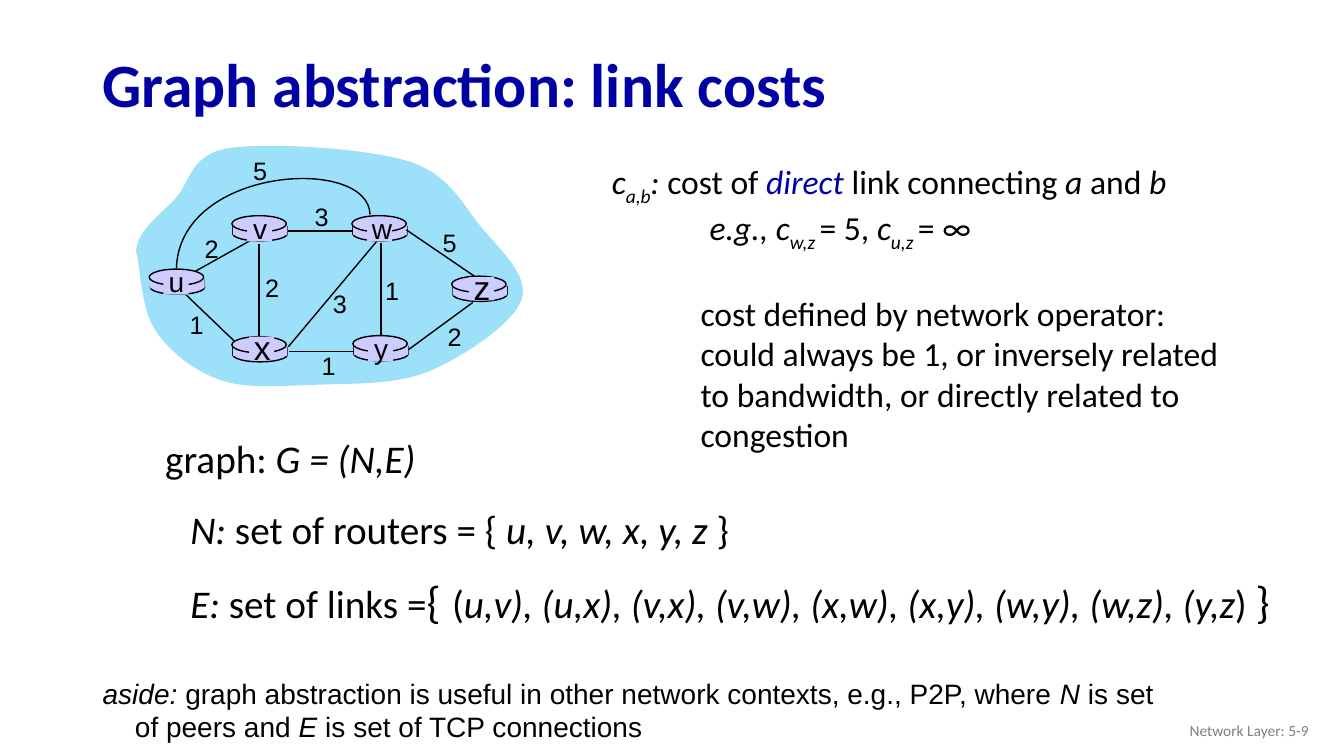
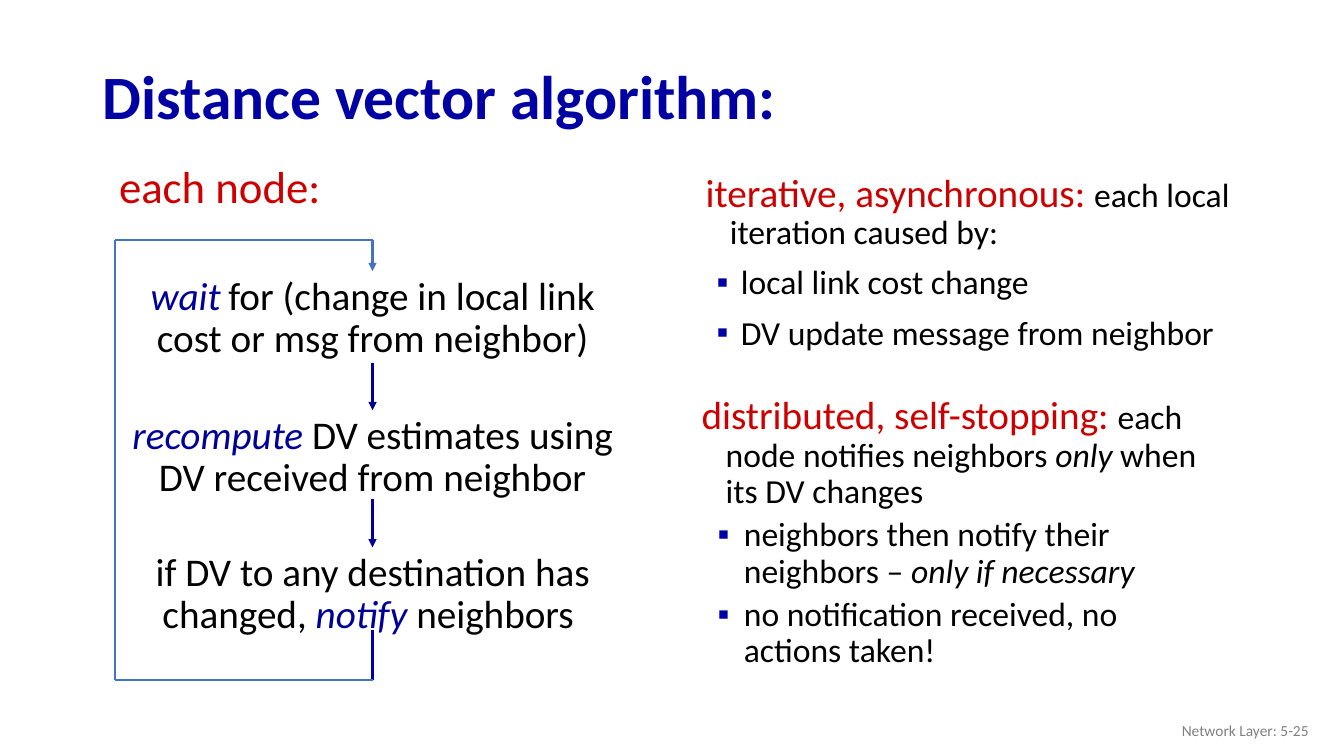
from lxml import etree
from pptx import Presentation
from pptx.dml.color import RGBColor
from pptx.enum import shapes, text
from pptx.oxml.ns import qn
from pptx.util import Inches, Pt

BLACK, GREY, RED = "000000", "808080", "CC0000"
TITLE_BLUE, DEEP_BLUE, STEP_BLUE, LOOP_BLUE = "0000A3", "0000A8", "000099", "4472C4"
CLOUD_BLUE, ROUTER_LILAC = "9CE0FA", "CCCCFF"
BODY_FONT, GRAPH_FONT = "Calibri", "Arial"

ITALIC = {"italic": True}
SUBSCRIPT = {"italic": True, "baseline": -25000}
KEYWORD = {"italic": True, "color": STEP_BLUE}
HEADING = {"size": 28, "color": RED}

# Slide 1: a start point, then two control points and an end point per segment
CLOUD = [
    (1.35, 2.49),
    (1.36, 2.29), (1.58, 2.14), (1.74, 1.97),
    (1.89, 1.8), (1.89, 1.53), (2.27, 1.47),
    (2.66, 1.41), (3.63, 1.47), (4.05, 1.6),
    (4.46, 1.73), (4.58, 2.02), (4.77, 2.25),
    (4.96, 2.48), (5.26, 2.74), (5.17, 2.98),
    (5.08, 3.22), (4.58, 3.55), (4.24, 3.69),
    (3.89, 3.83), (3.42, 3.8), (3.08, 3.82),
    (2.73, 3.83), (2.42, 3.86), (2.16, 3.76),
    (1.91, 3.67), (1.67, 3.48), (1.53, 3.26),
    (1.4, 3.05), (1.39, 2.65), (1.35, 2.49),
]
ARC_U_W = [(3.67, 2.13), (3.66, 1.54), (1.78, 1.65), (1.75, 2.66)]
# name, left, top, then middle, top, height and text size of the label
ROUTERS = [
    ("u", 1.48, 2.67, 1.75, 2.58, 0.43, 20), ("x", 2.3, 3.34, 2.6, 3.19, 0.5, 24),
    ("v", 2.3, 2.14, 2.58, 2.05, 0.43, 20), ("w", 3.49, 2.14, 3.77, 2.05, 0.43, 20),
    ("y", 3.5, 3.33, 3.78, 3.24, 0.43, 20), ("z", 4.48, 2.74, 4.78, 2.6, 0.5, 24),
]
LINK_U_V = ((1.94, 2.69), (2.53, 2.36))
LINKS = [
    ((3.78, 2.41), (3.78, 3.32)), ((2.57, 2.42), (2.57, 3.35)),
    ((2.86, 3.44), (3.74, 2.39)), ((4.05, 3.47), (4.69, 3)),
    ((3.51, 3.49), (2.87, 3.49)), ((2.32, 3.38), (1.84, 2.92)),
    ((3.5, 2.29), (2.86, 2.29)), ((4.72, 2.75), (4.03, 2.28)),
]
# cost, left, top
COSTS = [
    ("2", 1.93, 2.27), ("2", 2.53, 2.65), ("1", 1.78, 3.02), ("3", 3.2, 2.81),
    ("1", 3.09, 3.43), ("1", 3.72, 2.68), ("2", 4.34, 3.14), ("5", 4.29, 2.21),
    ("3", 3.02, 1.95), ("5", 2.41, 1.49),
]
COST_NOTES = [
    {"runs": [("c", ITALIC), ("a,b", SUBSCRIPT), (": ", ITALIC), "cost of ",
              ("direct", {"italic": True, "color": DEEP_BLUE}), " link connecting ",
              ("a", ITALIC), " and ", ("b", ITALIC)]},
    {"runs": [("e.g., c", ITALIC), ("w,z ", SUBSCRIPT), "= 5, ", ("c", ITALIC),
              ("u,z ", SUBSCRIPT), "= ∞"], "left": 0.97},
    {"runs": ["cost defined by network operator: could always be 1, or inversely "
              "related to bandwidth, or directly related to congestion"],
     "left": 0.88, "before": 28.6},
]
# box, paragraph runs
SET_LINES = [
    ((1.54, 4.26, 2.71, 0.57), ["graph: ", ("G = (N,E)", ITALIC)]),
    ((1.79, 4.96, 5.59, 0.57),
     [("N: ", ITALIC), "set of routers = { ", ("u, v, w, x, y, z ", ITALIC), "}"]),
    ((1.79, 5.59, 11.02, 0.71),
     [("E: ", ITALIC), "set of links =", ("{", {"size": 32}), (" ", {"size": 36}), "(",
      ("u,v), (u,x), (v,x), (v,w), (x,w), (x,y), (w,y), (w,z), (y,z", ITALIC),
      ") ", ("}", {"size": 32})]),
]
ASIDE = [{"runs": [("aside:", ITALIC),
                   " graph abstraction is useful in other network contexts, e.g., P2P, where ",
                   ("N", ITALIC), " is set of peers and ", ("E", ITALIC),
                   " is set of TCP connections"], "left": 0.32, "first": -0.32}]

# Slide 2: top, bottom, runs
STEPS = [
    (2.69, 3.6, [("wait", KEYWORD), (" ", {"size": 24}),
                 "for (change in local link cost or msg from neighbor)"]),
    (4.07, 4.95, [("recompute", KEYWORD),
                  " DV estimates using DV received from neighbor"]),
    (5.43, 6.25, ["if DV to any destination has changed, ", ("notify", KEYWORD),
                  " neighbors "]),
]
STEP_LEFT, STEP_WIDTH = 1.17, 5.05
LOOP_LEFT, LOOP_TOP, LOOP_BOTTOM = 1.14, 2.38, 6.75

LEAD = {"left": 0.39, "first": -0.24, "before": 10}
CAUSE = {"left": 0.5, "first": -0.24, "before": 10, "bullet": TITLE_BLUE}
EFFECT = {"left": 0.57, "first": -0.26, "before": 5, "bullet": DEEP_BLUE}
PROPERTIES = [
    ((6.75, 1.67, 5.91, 2.16), [
        {"runs": [("iterative, asynchronous: ", HEADING),
                  "each local iteration caused by:"], **LEAD},
        {"runs": ["local link cost change"], **CAUSE},
        {"runs": ["DV update message from neighbor"], **CAUSE},
    ]),
    ((6.71, 3.88, 5.4, 3.19), [
        {"runs": [("distributed, self-stopping: ", HEADING),
                  "each node notifies neighbors ", ("only", ITALIC),
                  " when its DV changes"], **LEAD},
        {"runs": ["neighbors then notify their neighbors – ",
                  ("only if necessary", ITALIC)], **EFFECT},
        {"runs": ["no notification received, no actions taken!"], **EFFECT},
    ]),
]


def rgb(value):
    return RGBColor.from_string(value)


def add_run(paragraph, words, size, font, color, bold=False, italic=False, baseline=0):
    run = paragraph.add_run()
    run.text = words
    run.font.size, run.font.name = Pt(size), font
    run.font.bold, run.font.italic = bold, italic
    run.font.color.rgb = rgb(color)
    if baseline:
        run.font._element.set("baseline", str(baseline))


def indent(paragraph, left=0, first=0, bullet=None):
    """Set the hanging indent and, if a colour is given, a square bullet."""
    properties = paragraph._p.get_or_add_pPr()
    properties.set("marL", str(Inches(left)))
    properties.set("indent", str(Inches(first)))
    if bullet:
        color = etree.SubElement(properties, qn("a:buClr"))
        etree.SubElement(color, qn("a:srgbClr"), val=bullet)
        etree.SubElement(properties, qn("a:buFont"), typeface="Arial")
        etree.SubElement(properties, qn("a:buChar"), char="▪")


def add_text(slide, at, paragraphs, align="LEFT", anchor="TOP", wrap=True, spacing=None,
             **style):
    """Paragraphs are a string or dicts of runs; style holds the default run format."""
    box = slide.shapes.add_textbox(*map(Inches, at))
    frame = box.text_frame
    frame.word_wrap = wrap
    frame.vertical_anchor = text.MSO_ANCHOR[anchor]
    if isinstance(paragraphs, str):
        paragraphs = [{"runs": [paragraphs]}]
    style = {"font": BODY_FONT, "color": BLACK, **style}
    for number, item in enumerate(paragraphs):
        paragraph = frame.add_paragraph() if number else frame.paragraphs[0]
        paragraph.alignment = text.PP_ALIGN[align]
        if spacing:
            paragraph.line_spacing = spacing
        paragraph.space_before = Pt(item.get("before", 0))
        indent(paragraph, item.get("left", 0), item.get("first", 0), item.get("bullet"))
        for run in item["runs"]:
            words, change = (run, {}) if isinstance(run, str) else run
            add_run(paragraph, words, **{**style, **change})
    return box


def paint(shape, fill=None, line=None):
    shape.shadow.inherit = False
    if fill:
        shape.fill.solid()
        shape.fill.fore_color.rgb = rgb(fill)
    else:
        shape.fill.background()
    if line:
        shape.line.color.rgb = rgb(line)
        shape.line.width = Pt(1)
    else:
        shape.line.fill.background()


def add_block(slide, kind, at, line=None):
    shape = slide.shapes.add_shape(shapes.MSO_SHAPE[kind], *map(Inches, at))
    paint(shape, ROUTER_LILAC, line)


def add_line(slide, start, end, color=BLACK, width=1, arrow=False):
    connector = slide.shapes.add_connector(
        shapes.MSO_CONNECTOR.STRAIGHT, *map(Inches, (*start, *end)))
    connector.line.color.rgb = rgb(color)
    connector.line.width = Pt(width)
    if arrow:
        etree.SubElement(connector.line._get_or_add_ln(), qn("a:tailEnd"), type="triangle")
    etree.SubElement(connector._element.spPr, qn("a:effectLst"))
    return connector


def add_curve(slide, points, closed=False, **colors):
    """Build the outline through all points, then join each three into a cubic segment."""
    corners = [tuple(map(Inches, point)) for point in points]
    builder = slide.shapes.build_freeform(*corners[0])
    builder.add_line_segments(corners[1:], close=closed)
    shape = builder.convert_to_shape()
    pieces = list(shape._element.iter(qn("a:lnTo")))
    for first in range(0, len(points) - 1, 3):
        segment = etree.Element(qn("a:cubicBezTo"))
        pieces[first].addprevious(segment)
        for piece in pieces[first:first + 3]:
            segment.append(piece[0])
            piece.getparent().remove(piece)
    paint(shape, **colors)


def add_router(slide, left, top):
    side, upper, lower = left + 0.01, top + 0.1, top + 0.19
    add_block(slide, "OVAL", (side, top + 0.11, 0.54, 0.14), BLACK)
    for x in (side, side + 0.54):
        add_line(slide, (x, upper), (x, lower))
    add_block(slide, "RECTANGLE", (side, upper, 0.54, 0.09))
    add_block(slide, "OVAL", (left, top, 0.54, 0.16), BLACK)


def add_router_name(slide, name, middle, top, height, size):
    add_block(slide, "RECTANGLE", (middle - 0.13, top + height / 2 - 0.1, 0.25, 0.23))
    add_text(slide, (middle - 0.18, top, 0.36, height), name, align="CENTER", wrap=False,
             size=size, font=GRAPH_FONT)


def add_slide(presentation, title, title_at, number):
    slide = presentation.slides.add_slide(presentation.slide_layouts[6])
    add_text(slide, title_at, title, anchor="MIDDLE", spacing=0.9,
             size=44, color=TITLE_BLUE, bold=True)
    add_text(slide, (10.08, 7.05, 3, 0.4), f"Network Layer: 5-{number}", align="RIGHT",
             anchor="MIDDLE", size=11, color=GREY)
    return slide


def build_link_costs(presentation):
    slide = add_slide(presentation, "Graph abstraction: link costs",
                      (0.92, 0.38, 7.5, 0.98), 9)
    add_curve(slide, CLOUD, closed=True, fill=CLOUD_BLUE)
    add_line(slide, *LINK_U_V)
    for name, left, top, *label in ROUTERS:
        add_router(slide, left, top)
    for link in LINKS:
        add_line(slide, *link)
    add_curve(slide, ARC_U_W, line=BLACK)
    for name, left, top, *label in ROUTERS:
        add_router_name(slide, name, *label)
    for cost, left, top in COSTS:
        add_text(slide, (left, top, 0.34, 0.4), cost, align="CENTER", wrap=False,
                 size=18, font=GRAPH_FONT)
    add_text(slide, (5.97, 1.55, 6.44, 2.93), COST_NOTES, size=24)
    for at, runs in SET_LINES:
        add_text(slide, at, [{"runs": runs}], wrap=False, size=28)
    add_text(slide, (0.92, 6.66, 10.77, 0.77), ASIDE, size=20, font=GRAPH_FONT)


def build_distance_vector(presentation):
    slide = add_slide(presentation, "Distance vector algorithm:",
                      (0.92, 0.5, 11.5, 0.98), 25)
    add_text(slide, (1.07, 1.53, 2.22, 0.64), "each node:", align="CENTER", wrap=False,
             size=32, color=RED)
    for at, paragraphs in PROPERTIES:
        add_text(slide, at, paragraphs, spacing=0.9, size=24)
    boxes = [add_text(slide, (STEP_LEFT, top, STEP_WIDTH, bottom - top), [{"runs": runs}],
                      align="CENTER", spacing=0.9, size=28)
             for top, bottom, runs in STEPS]
    middle = STEP_LEFT + STEP_WIDTH / 2
    for index in range(len(STEPS) - 1):
        arrow = add_line(slide, (middle, STEPS[index][1]), (middle, STEPS[index + 1][0]),
                         STEP_BLUE, 1.5, arrow=True)
        arrow.begin_connect(boxes[index], 2)
        arrow.end_connect(boxes[index + 1], 0)
    leave = add_line(slide, (middle, STEPS[-1][1]), (middle, LOOP_BOTTOM), DEEP_BLUE, 1.5)
    leave.begin_connect(boxes[-1], 2)
    corners = [(middle, LOOP_BOTTOM), (LOOP_LEFT, LOOP_BOTTOM), (LOOP_LEFT, LOOP_TOP),
               (middle, LOOP_TOP)]
    for start, end in zip(corners, corners[1:]):
        add_line(slide, start, end, LOOP_BLUE, 1.5)
    enter = add_line(slide, corners[-1], (middle, STEPS[0][0]), LOOP_BLUE, 1.5, arrow=True)
    enter.end_connect(boxes[0], 0)


def main():
    presentation = Presentation()
    presentation.slide_width, presentation.slide_height = Inches(13.33), Inches(7.5)
    build_link_costs(presentation)
    build_distance_vector(presentation)
    presentation.save("out.pptx")


if __name__ == "__main__":
    main()
